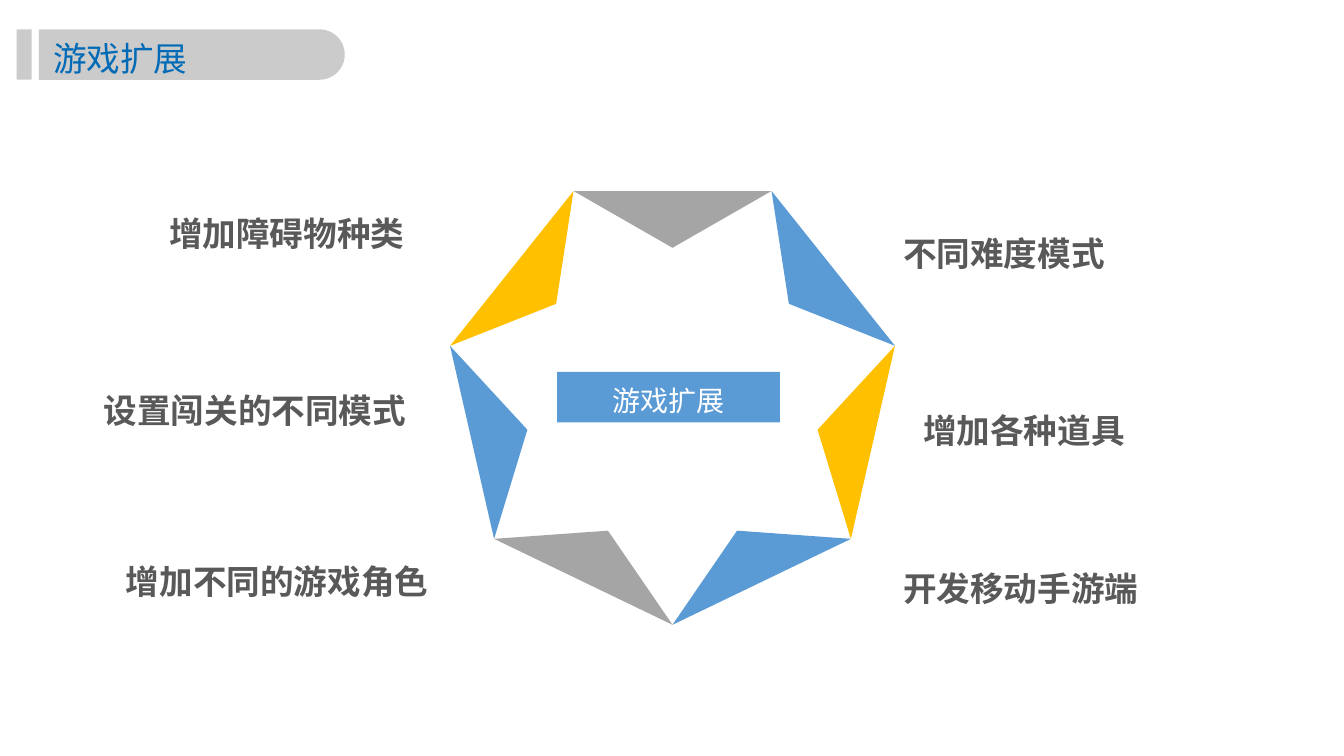
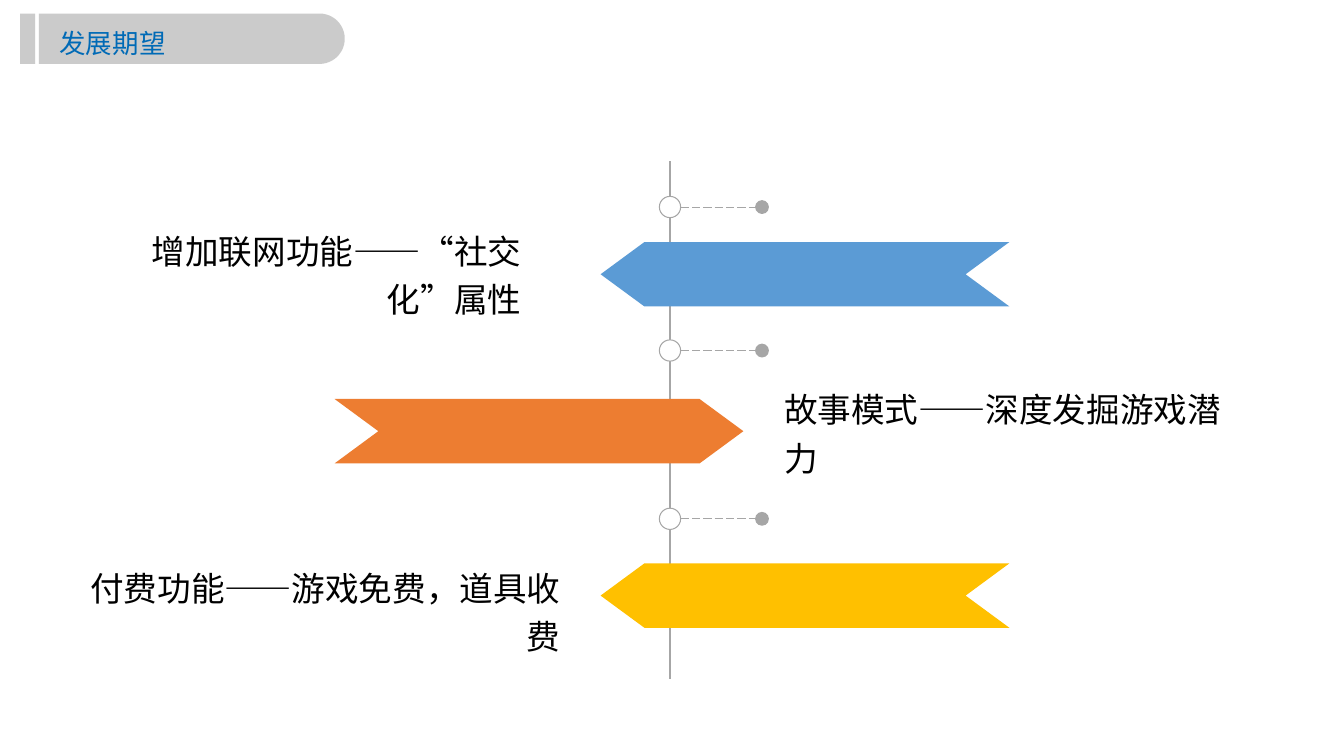
from math import cos, pi, sin

from lxml import etree
from pptx import Presentation
from pptx.dml.color import RGBColor
from pptx.enum.dml import MSO_LINE
from pptx.enum.lang import MSO_LANGUAGE_ID
from pptx.enum.shapes import MSO_CONNECTOR, MSO_SHAPE
from pptx.enum.text import MSO_ANCHOR, MSO_AUTO_SIZE, PP_ALIGN
from pptx.oxml.ns import qn
from pptx.util import Pt

LEFT, CENTER, RIGHT = PP_ALIGN.LEFT, PP_ALIGN.CENTER, PP_ALIGN.RIGHT
TOP, MIDDLE = MSO_ANCHOR.TOP, MSO_ANCHOR.MIDDLE
STRAIGHT, LONG_DASH = MSO_CONNECTOR.STRAIGHT, MSO_LINE.LONG_DASH
RECTANGLE, OVAL, CHEVRON = MSO_SHAPE.RECTANGLE, MSO_SHAPE.OVAL, MSO_SHAPE.CHEVRON

BLUE, ORANGE, YELLOW, GRAY = "5B9BD5", "ED7D31", "FFC000", "A5A5A5"
WHITE, BLACK, TEXT_GRAY, LINE_GRAY = "FFFFFF", "000000", "595959", "A6A6A6"
BAND_GRAY, TITLE_BLUE = "BFBFBF", "006AB6"


def color(hex_string):
    return RGBColor.from_string(hex_string)


def write(shape, text, size, font_name, text_color, align=LEFT, bold=False,
          anchor=TOP, insets=(7.2, 3.6), spacing=1.2):
    frame = shape.text_frame
    frame.word_wrap = True
    frame.auto_size = MSO_AUTO_SIZE.NONE
    frame.vertical_anchor = anchor
    frame.margin_left = frame.margin_right = Pt(insets[0])
    frame.margin_top = frame.margin_bottom = Pt(insets[1])
    para = frame.paragraphs[0]
    para.alignment = align
    para.line_spacing = spacing
    para.space_before = Pt(0)
    span = para.add_run()
    span.text = text
    span.font.size = Pt(size)
    span.font.name = font_name
    span.font.bold = bold
    span.font.color.rgb = color(text_color)
    span.font.language_id = MSO_LANGUAGE_ID.SIMPLIFIED_CHINESE


deck = Presentation()
deck.slide_width, deck.slide_height = Pt(960), Pt(540)

# Title bands: text, size, title left, top and height, band top, bar left
titles = [
    ("游戏扩展", 24, 33, 18.7, 40, 21, 11.8),
    ("发展期望", 18.9, 37.5, 12.2, 32, 9.7, 14.4),
]
BAND_LEFT, BAND_RIGHT, BAND_HEIGHT = 27.8, 246.3, 36
pages = []
for text, size, left, top, height, band_top, bar_left in titles:
    page = deck.slides.add_slide(deck.slide_layouts[5])
    pages.append(page)
    radius = BAND_HEIGHT / 2
    arc = [(BAND_RIGHT - radius + radius * cos(angle), band_top + radius + radius * sin(angle))
           for angle in (pi * step / 24 - pi / 2 for step in range(25))]
    outline = page.shapes.build_freeform(Pt(BAND_LEFT), Pt(band_top))
    outline.add_line_segments([(Pt(x), Pt(y)) for x, y in arc]
                              + [(Pt(BAND_LEFT), Pt(band_top + BAND_HEIGHT))])
    band = outline.convert_to_shape()
    bar = page.shapes.add_shape(RECTANGLE, Pt(bar_left), Pt(band_top), Pt(10.8), Pt(BAND_HEIGHT))
    title = page.shapes.title
    for shape in (band, bar):
        shape.shadow.inherit = False
        shape.line.fill.background()
        shape.fill.solid()
        shape.fill.fore_color.rgb = color(BAND_GRAY)
        tint = shape.element.spPr.find(".//" + qn("a:srgbClr"))
        etree.SubElement(tint, qn("a:alpha"), val="80000")
        title.element.addprevious(shape.element)  # keep the band behind the title
    title.left, title.top, title.width, title.height = Pt(left), Pt(top), Pt(212), Pt(height)
    write(title, text, size, "Arial", TITLE_BLUE, insets=(5, 2.9))

ideas_page, outlook_page = pages

# Slide 1: heptagon ring of triangles, from the bottom corner up the right side
CENTER_X, CENTER_Y, OUTER, INNER = 480.4, 283.3, 163, 106.3
SIDE_ANGLE = 2 * pi / 7
for index, fill in enumerate([BLUE, YELLOW, BLUE, GRAY, YELLOW, BLUE, GRAY]):
    corners = [(Pt(CENTER_X + distance * cos(pi / 2 - turn * SIDE_ANGLE)),
                Pt(CENTER_Y + distance * sin(pi / 2 - turn * SIDE_ANGLE)))
               for distance, turn in ((OUTER, index), (OUTER, index + 1), (INNER, index + 0.5))]
    outline = ideas_page.shapes.build_freeform(*corners[0])
    outline.add_line_segments(corners[1:])
    triangle = outline.convert_to_shape()
    triangle.shadow.inherit = False
    triangle.line.fill.background()
    triangle.fill.solid()
    triangle.fill.fore_color.rgb = color(fill)

# Centre label
hub = ideas_page.shapes.add_shape(RECTANGLE, Pt(398), Pt(265.7), Pt(159), Pt(36))
hub.shadow.inherit = False
hub.line.fill.background()
hub.fill.solid()
hub.fill.fore_color.rgb = color(BLUE)
write(hub, "游戏扩展", 20, "Arial", WHITE, CENTER, anchor=MIDDLE)

# Ideas around the ring
ideas = [
    ("增加障碍物种类", 86.4, 142.6, 209.5, RIGHT, 1.2),
    ("设置闯关的不同模式", 67, 266.5, 250.5, LEFT, 1.3),
    ("增加不同的游戏角色", 33, 391, 280, RIGHT, 1.2),
    ("不同难度模式", 638, 157, 181.5, LEFT, 1.2),
    ("增加各种道具", 652.3, 283.7, 181.5, LEFT, 1.2),
    ("开发移动手游端", 638, 396.7, 229.7, LEFT, 1.2),
]
for text, left, top, width, align, spacing in ideas:
    box = ideas_page.shapes.add_textbox(Pt(left), Pt(top), Pt(width), Pt(42))
    write(box, text, 24, "Roboto", TEXT_GRAY, align, bold=True, spacing=spacing)

# Slide 2: vertical axis and dashed branches, as start and end points
AXIS_X, NODE_SIZE = 478.6, 15.2
node_heights = [147.9, 250.4, 370.6]
lines = [(AXIS_X, 115.2, AXIS_X, 485.3)]
lines += [(AXIS_X + NODE_SIZE / 2, y, 544.3, y) for y in node_heights]
for x1, y1, x2, y2 in lines:
    line = outlook_page.shapes.add_connector(STRAIGHT, Pt(x1), Pt(y1), Pt(x2), Pt(y2))
    line.line.color.rgb = color(LINE_GRAY)
    line.line.width = Pt(0.75)
    if y1 == y2:
        line.line.dash_style = LONG_DASH
        etree.SubElement(line.line._get_or_add_ln(), qn("a:tailEnd"),
                         type="oval", w="lg", len="lg")
    etree.SubElement(line.element.spPr, qn("a:effectLst"))

# Nodes on the axis
for y in node_heights:
    node = outlook_page.shapes.add_shape(OVAL, Pt(AXIS_X - NODE_SIZE / 2), Pt(y - NODE_SIZE / 2),
                                         Pt(NODE_SIZE), Pt(NODE_SIZE))
    node.shadow.inherit = False
    node.fill.solid()
    node.fill.fore_color.rgb = color(WHITE)
    node.line.color.rgb = color(LINE_GRAY)
    node.line.width = Pt(0.75)

# Chevrons: left, top, rotation, fill
for left, top, rotation, fill in [(429, 172.9, 180, BLUE), (239, 285, 0, ORANGE),
                                  (429, 402.4, 180, YELLOW)]:
    chevron = outlook_page.shapes.add_shape(CHEVRON, Pt(left), Pt(top), Pt(292), Pt(46))
    chevron.adjustments[0] = 0.68
    chevron.rotation = rotation
    chevron.shadow.inherit = False
    chevron.line.fill.background()
    chevron.fill.solid()
    chevron.fill.fore_color.rgb = color(fill)

# Expectations beside the chevrons
for text, left, top, width, align in [
    ("增加联网功能——“社交化”属性", 37.5, 155.5, 342, RIGHT),
    ("故事模式——深度发掘游戏潜力", 553, 268.6, 345.5, LEFT),
    ("付费功能——游戏免费，道具收费", 37.5, 396.3, 370, RIGHT),
]:
    box = outlook_page.shapes.add_textbox(Pt(left), Pt(top), Pt(width), Pt(80))
    write(box, text, 24, "Calibri", BLACK, align)

deck.save("out.pptx")
